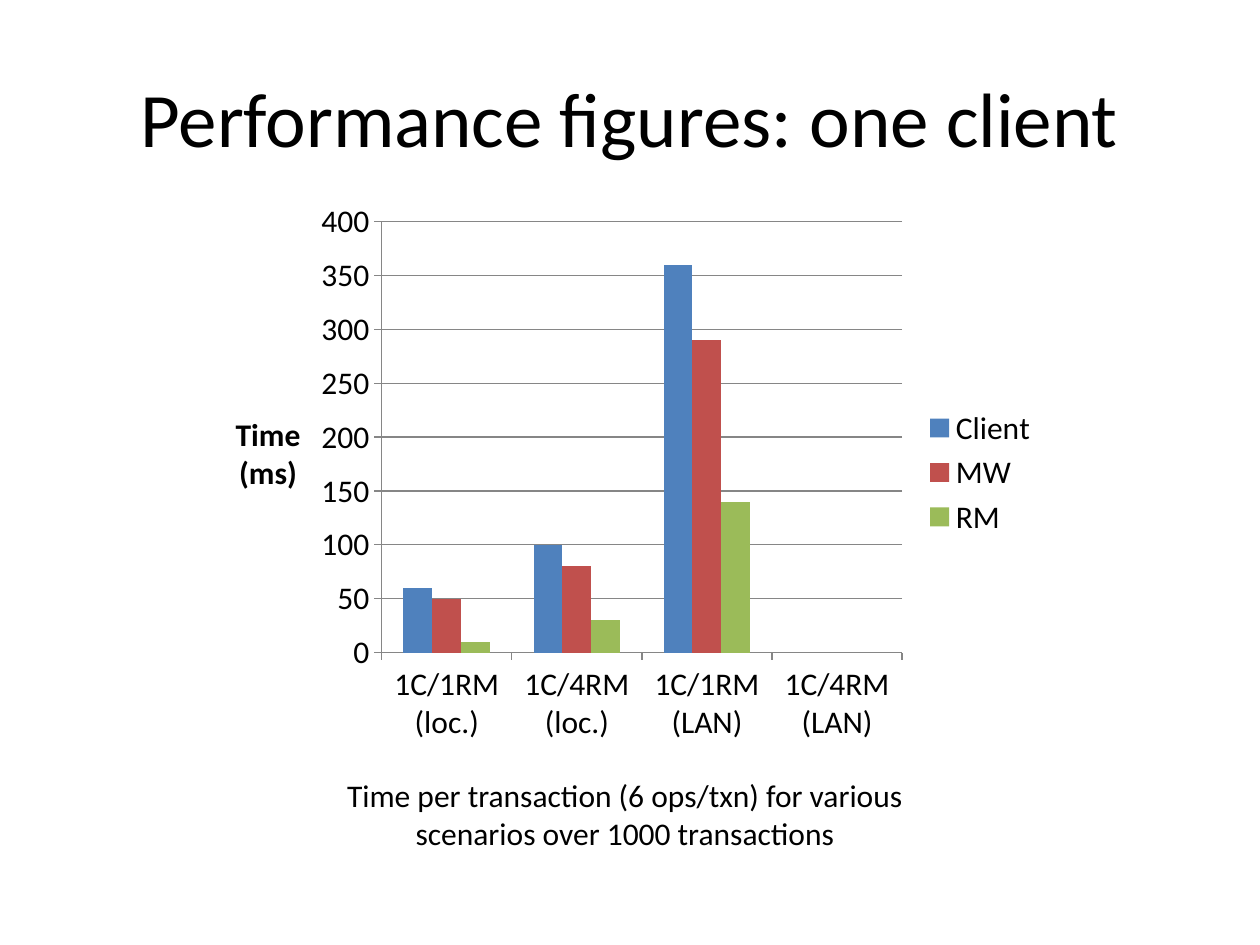
"""Build the slide with single-client performance figures."""
from lxml import etree
from pptx import Presentation
from pptx.chart.data import CategoryChartData
from pptx.dml.color import RGBColor
from pptx.enum.chart import XL_CHART_TYPE as ChartType, XL_LEGEND_POSITION as LegendPos
from pptx.enum.chart import XL_TICK_MARK as Tick
from pptx.enum.text import MSO_ANCHOR as Anchor, PP_ALIGN as Align
from pptx.oxml.ns import qn
from pptx.util import Inches, Pt

BLACK = RGBColor(0x00, 0x00, 0x00)
GRAY = RGBColor(0x86, 0x86, 0x86)
BLUE = RGBColor(0x4F, 0x81, 0xBD)
RED = RGBColor(0xC0, 0x50, 0x4D)
GREEN = RGBColor(0x9B, 0xBB, 0x59)

SCENARIOS = ["1C/1RM (loc.)", "1C/4RM (loc.)", "1C/1RM (LAN)", "1C/4RM (LAN)"]
SERIES = [
    ("Client", (60, 100, 360, None), BLUE),
    ("MW", (50, 80, 290, None), RED),
    ("RM", (10, 30, 140, None), GREEN),
]


def set_layout(parent, index, **values):
    for old in parent.findall(qn("c:layout")):
        parent.remove(old)
    layout = etree.Element(qn("c:layout"))
    manual = etree.SubElement(layout, qn("c:manualLayout"))
    for tag, value in values.items():
        etree.SubElement(manual, qn(f"c:{tag}")).set("val", str(value))
    parent.insert(index, layout)


class SlideBuilder:
    def __init__(self, slide, font="Calibri", size=18):
        self.slide, self.font, self.size = slide, font, size

    def style(self, font, size=None, bold=False):
        font.name, font.size, font.bold = self.font, Pt(size or self.size), bold
        font.color.rgb = BLACK

    def text(self, box, text, size=None, anchor=Anchor.TOP):
        tf = self.slide.shapes.add_textbox(*map(Inches, box)).text_frame
        tf.word_wrap, tf.vertical_anchor = True, anchor
        tf.text = text
        p = tf.paragraphs[0]
        p.alignment = Align.CENTER
        self.style(p.runs[0].font, size)

    def axis_title(self, axis, text, x, y):
        title = axis.axis_title
        tf = title.text_frame
        tf.text = text
        body = title._element.find(".//" + qn("a:bodyPr"))
        body.set("rot", "0")
        body.set("vert", "horz")
        for p in tf.paragraphs:
            p.alignment = Align.CENTER
            self.style(p.runs[0].font, bold=True)
        set_layout(title._element, 1, xMode="edge", yMode="edge", x=x, y=y)

    def column_chart(self, box, categories, series, value_title):
        data = CategoryChartData()
        data.categories = categories
        for name, values, _ in series:
            data.add_series(name, values)
        frame = self.slide.shapes.add_chart(
            ChartType.COLUMN_CLUSTERED, *map(Inches, box), data)
        chart = frame.chart
        self.style(chart.font)
        chart.has_title = False
        chart.has_legend = True
        chart.legend.position = LegendPos.RIGHT
        chart.legend.include_in_layout = False
        plot = chart.plots[0]
        plot.gap_width, plot.overlap, plot.vary_by_categories = 150, 0, False
        for item, (_, _, color) in zip(plot.series, series):
            item.format.fill.solid()
            item.format.fill.fore_color.rgb = color
        values = chart.value_axis
        values.minimum_scale, values.maximum_scale, values.major_unit = 0, 400, 50
        values.has_major_gridlines = True
        for line in (values.major_gridlines.format.line, values.format.line,
                     chart.category_axis.format.line):
            line.color.rgb, line.width = GRAY, Pt(0.75)
        for axis in (values, chart.category_axis):
            axis.major_tick_mark = Tick.OUTSIDE
        width, height = box[2:]
        self.axis_title(values, value_title, x=0.17 / width, y=1.72 / height)
        area = chart._chartSpace.find(".//" + qn("c:plotArea"))
        set_layout(area, 0, layoutTarget="inner", xMode="edge", yMode="edge",
                   x=1.36 / width, y=0.23 / height, w=4.13 / width, h=3.42 / height)


def main():
    prs = Presentation()
    prs.slide_width, prs.slide_height = Inches(10), Inches(7.5)
    s = SlideBuilder(prs.slides.add_slide(prs.slide_layouts[6]))
    s.text((0.5, 0.3, 9, 1.25), "Performance figures: one client", 44, Anchor.MIDDLE)
    s.column_chart((1.67, 1.53, 6.67, 4.44), SCENARIOS, SERIES, "Time\n(ms)")
    s.text((2.56, 6.11, 4.8, 0.71),
           "Time per transaction (6 ops/txn) for various scenarios over 1000 transactions")
    prs.save("out.pptx")


if __name__ == "__main__":
    main()
